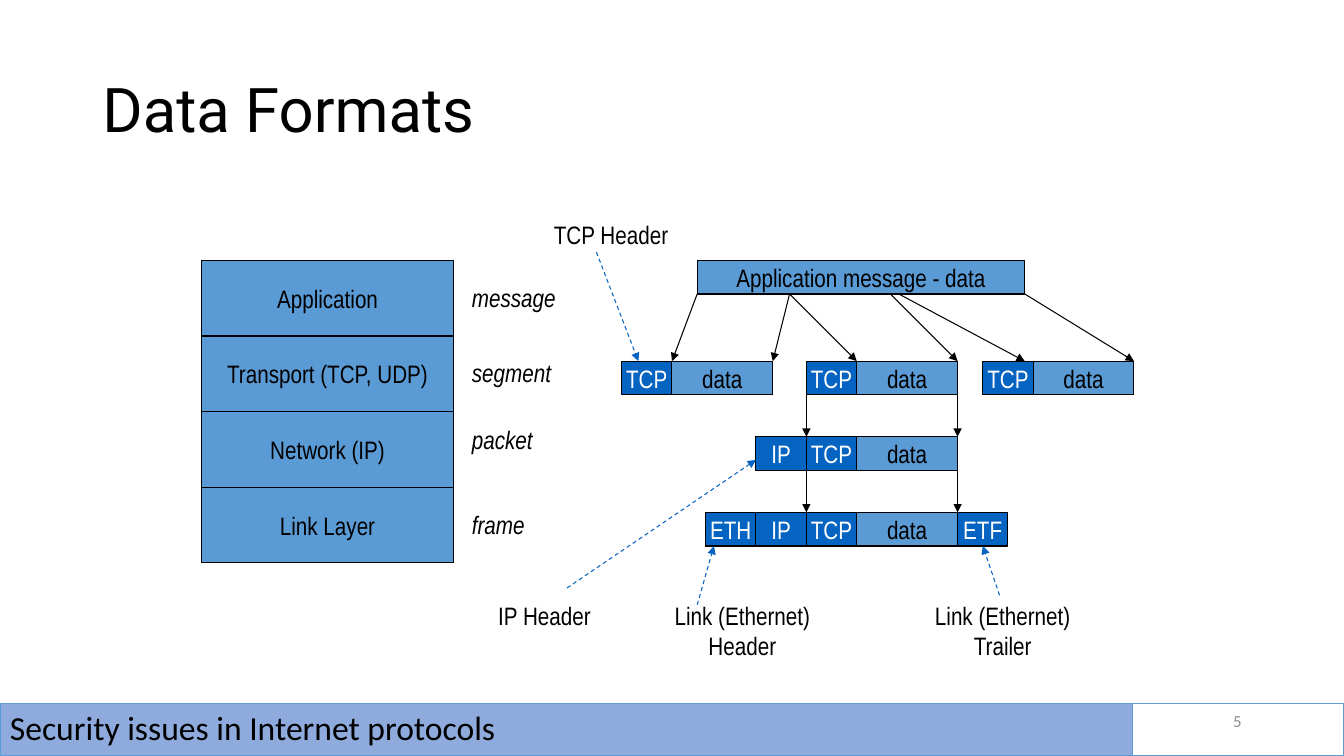
import dataclasses

import lxml.etree
import pptx
import pptx.dml.color
import pptx.enum.dml
import pptx.enum.shapes
import pptx.enum.text
import pptx.oxml.ns
import pptx.util

ALIGN = pptx.enum.text.PP_ALIGN
MIDDLE = pptx.enum.text.MSO_ANCHOR.MIDDLE
FIT = pptx.enum.text.MSO_AUTO_SIZE
EMU_PER_PX = 9525


@dataclasses.dataclass(frozen=True)
class Theme:
    black: str = "000000"
    white: str = "FFFFFF"
    payload: str = "5B9BD5"
    header: str = "0563C1"
    footer: str = "8FAADC"
    number: str = "8C8C8C"
    title_font: str = "Roboto"
    label_font: str = "Arial Narrow"
    footer_font: str = "Calibri"
    title_size: int = 44
    footer_size: int = 24
    label_size: int = 18
    number_size: int = 12
    line_width: float = 0.75


def px(*lengths):
    return [pptx.util.Emu(length * EMU_PER_PX) for length in lengths]


def rgb(code):
    return pptx.dml.color.RGBColor.from_string(code)


class Page:
    def __init__(self, slide, theme):
        self.shapes = slide.shapes
        self.theme = theme

    def set_text(self, box, text, font, size, color, align=ALIGN.LEFT,
                 italic=None, spacing=None):
        box.text_frame.text = text
        for para in box.text_frame.paragraphs:
            para.alignment = align
            para.line_spacing = spacing
            for span in para.runs:
                span.font.name = font
                span.font.size = pptx.util.Pt(size)
                span.font.italic = italic
                span.font.color.rgb = rgb(color)

    def title(self, text, left, top, width, height):
        box = self.shapes.title
        box.left, box.top, box.width, box.height = px(left, top, width, height)
        box.text_frame.auto_size = FIT.NONE
        box.text_frame.vertical_anchor = MIDDLE
        self.set_text(box, text, self.theme.title_font, self.theme.title_size,
                      self.theme.black, spacing=0.9)

    def rectangle(self, left, top, width, height, fill, line):
        box = self.shapes.add_shape(pptx.enum.shapes.MSO_SHAPE.RECTANGLE,
                                    *px(left, top, width, height))
        box.shadow.inherit = False
        if fill:
            box.fill.solid()
            box.fill.fore_color.rgb = rgb(fill)
        else:
            box.fill.background()
        box.line.color.rgb = rgb(line)
        box.line.width = pptx.util.Pt(self.theme.line_width)
        box.text_frame.vertical_anchor = MIDDLE
        return box

    def cell(self, text, left, top, width, height, is_header=False):
        theme = self.theme
        fill, color = ((theme.header, theme.white) if is_header
                       else (theme.payload, theme.black))
        box = self.rectangle(left, top, width, height, fill, theme.black)
        box.text_frame.word_wrap = False
        self.set_text(box, text, theme.label_font, theme.label_size, color, ALIGN.CENTER)
        return box

    def data_unit(self, fields, left, top):
        """Draw adjoining fields and return the last one."""
        for field in fields:
            is_header = field != "data"
            width = FIELD if is_header else 2 * FIELD
            box = self.cell(field, left, top, width, BAR, is_header)
            left += width
        return box

    def label(self, text, left, top, width, height=38, align=ALIGN.LEFT, italic=None):
        box = self.shapes.add_textbox(*px(left, top, width, height))
        box.text_frame.word_wrap = False
        box.text_frame.auto_size = FIT.SHAPE_TO_FIT_TEXT
        self.set_text(box, text, self.theme.label_font, self.theme.label_size,
                      self.theme.black, align, italic)

    def arrow(self, start, end, dashed=False, target=None):
        line = self.shapes.add_connector(pptx.enum.shapes.MSO_CONNECTOR.STRAIGHT,
                                         *px(*start, *end))
        line.line.color.rgb = rgb(self.theme.header if dashed else self.theme.black)
        line.line.width = pptx.util.Pt(self.theme.line_width)
        if dashed:
            line.line.dash_style = pptx.enum.dml.MSO_LINE.DASH
        name = pptx.oxml.ns.qn
        properties = line._element.spPr
        lxml.etree.SubElement(properties.find(name("a:ln")), name("a:tailEnd"),
                              type="triangle")
        lxml.etree.SubElement(properties, name("a:effectLst"))
        if target is not None:
            line.end_connect(target, 2)

    def footer(self, text, number):
        theme = self.theme
        band = self.rectangle(0, 670, 1079, 50, theme.footer, theme.payload)
        band.text_frame.word_wrap = True
        self.set_text(band, text, theme.footer_font, theme.footer_size,
                      theme.black, spacing=0.9)
        self.rectangle(1079, 670, 201, 50, None, theme.payload)
        box = self.shapes.add_textbox(*px(904, 667, 288, 38))
        box.text_frame.word_wrap = True
        box.text_frame.vertical_anchor = MIDDLE
        self.set_text(box, number, theme.footer_font, theme.number_size,
                      theme.number, ALIGN.RIGHT)


# Shared measures of the diagram
FIELD, BAR, LAYER = 48, 32, 72
MESSAGE_TOP, SEGMENT_TOP, PACKET_TOP, FRAME_TOP = 248, 344, 416, 488


def main():
    deck = pptx.Presentation()
    deck.slide_width, deck.slide_height = px(1280, 720)
    page = Page(deck.slides.add_slide(deck.slide_layouts[5]), Theme())
    page.title("Data Formats", 88, 38, 1104, 139)

    # Protocol stack and the name of each layer's data unit
    layers = ["Application", "Transport (TCP, UDP)", "Network (IP)", "Link Layer"]
    for index, layer in enumerate(layers):
        page.cell(layer, 192, MESSAGE_TOP + index * LAYER, 240, LAYER)
    for unit, top, width in [("message", 264, 100), ("segment", 336, 102),
                             ("packet", 399, 78), ("frame", 480, 70)]:
        page.label(unit, 440, top, width, italic=True)

    # Message, segments, packet and frame
    page.cell("Application message - data", 664, MESSAGE_TOP, 312, BAR)
    for left in (592, 768, 936):
        page.data_unit(["TCP", "data"], left, SEGMENT_TOP)
    page.data_unit(["IP", "TCP", "data"], 720, PACKET_TOP)
    trailer = page.data_unit(["ETH", "IP", "TCP", "data", "ETF"], 672, FRAME_TOP)

    # Splitting the message, then wrapping the middle segment
    for start, end in [(664, 640), (752, 736), (752, 816),
                       (848, 912), (856, 976), (976, 1080)]:
        page.arrow((start, MESSAGE_TOP + BAR), (end, SEGMENT_TOP))
    for upper, lower in [(SEGMENT_TOP, PACKET_TOP), (PACKET_TOP, FRAME_TOP)]:
        for edge in (768, 912):
            page.arrow((edge, upper + BAR), (edge, lower))

    # Callouts
    page.label("TCP Header", 518, 204, 129)
    page.label("IP Header", 465, 567, 108)
    page.label("Link (Ethernet)\nHeader", 632, 567, 150, 68, ALIGN.CENTER)
    page.label("Link (Ethernet)\nTrailer", 880, 567, 150, 68, ALIGN.CENTER)
    frame_bottom = FRAME_TOP + BAR
    page.arrow((568, 240), (608, SEGMENT_TOP), dashed=True)
    page.arrow((540, 560), (720, 438), dashed=True)
    page.arrow((664, 576), (680, frame_bottom), dashed=True)
    page.arrow((952, 567), (936, frame_bottom), dashed=True, target=trailer)

    page.footer("Security issues in Internet protocols", "5")
    deck.save("out.pptx")


if __name__ == "__main__":
    main()
